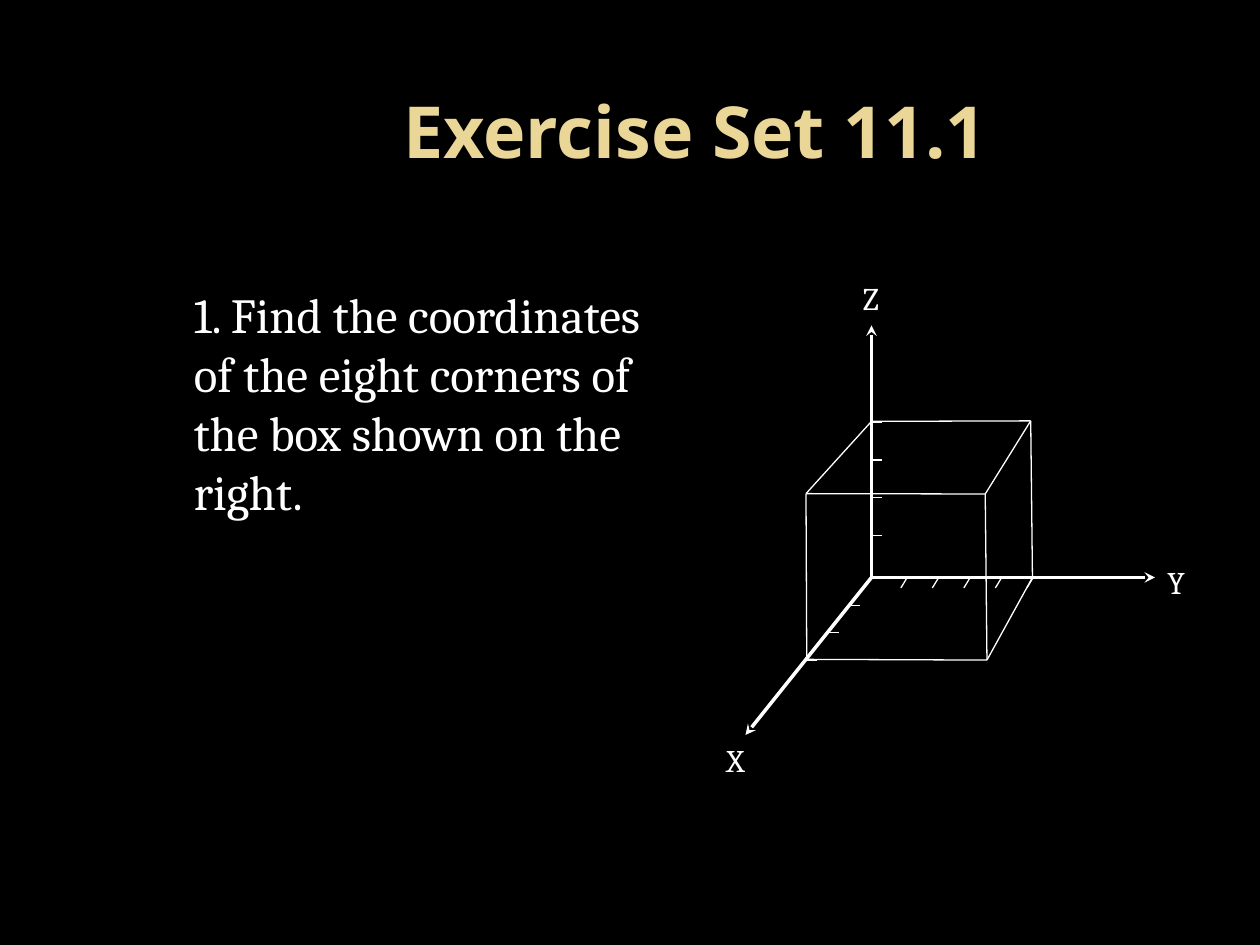
from dataclasses import dataclass
from typing import Any

from lxml.etree import SubElement
from pptx import Presentation
from pptx.dml.color import RGBColor
from pptx.enum.shapes import MSO_CONNECTOR
from pptx.enum.text import MSO_ANCHOR, PP_ALIGN
from pptx.oxml.ns import qn
from pptx.util import Pt


@dataclass(frozen=True)
class Theme:
    back: str = "000000"
    ink: str = "FFFFFF"
    gold: str = "EAD696"
    head: str = "Open Sans"
    body: str = "Cambria"
    big: float = 41
    mid: float = 28
    small: float = 18
    thick: float = 2
    thin: float = 0.75


def write(frame, words, font, size, color, bold=False, align=PP_ALIGN.LEFT,
          anchor=MSO_ANCHOR.TOP, indent=0):
    frame.word_wrap = True
    frame.vertical_anchor = anchor
    para = frame.paragraphs[0]
    para.alignment = align
    if indent:
        props = para._p.get_or_add_pPr()
        props.set("marL", str(Pt(indent)))
        props.set("indent", "0")
    run = para.add_run()
    run.text = words
    run.font.name = font
    run.font.size = Pt(size)
    run.font.bold = bold
    run.font.color.rgb = RGBColor.from_string(color)


@dataclass
class Board:
    theme: Theme
    slide: Any

    def ground(self):
        fill = self.slide.background.fill
        fill.solid()
        fill.fore_color.rgb = RGBColor.from_string(self.theme.back)

    def text(self, words, left, top, width, height, **form):
        box = self.slide.shapes.add_textbox(
            Pt(left), Pt(top), Pt(width), Pt(height))
        write(box.text_frame, words, **form)

    def label(self, words, left, top, width):
        look = self.theme
        self.text(words, left, top, width, 28.8, font=look.body,
                  size=look.small, color=look.ink)

    def line(self, start, end, width):
        link = self.slide.shapes.add_connector(
            MSO_CONNECTOR.STRAIGHT, *map(Pt, start + end))
        link.line.width = Pt(width)
        link.line.color.rgb = RGBColor.from_string(self.theme.ink)
        SubElement(link._element.spPr, qn("a:effectLst"))
        return link

    def edge(self, start, end):
        self.line(start, end, self.theme.thin)

    def axis(self, start, end):
        link = self.line(start, end, self.theme.thick)
        SubElement(link.line._get_or_add_ln(), qn("a:tailEnd"), type="stealth")

    def ticks(self, count, first, step, span):
        for i in range(count):
            x, y = first[0] + i * step[0], first[1] + i * step[1]
            self.edge((x, y), (x + span[0], y + span[1]))


def main():
    deck = Presentation()
    deck.slide_width, deck.slide_height = Pt(720), Pt(540)
    look = Theme()
    board = Board(look, deck.slides.add_slide(deck.slide_layouts[6]))
    board.ground()

    board.text("Exercise Set 11.1", 90.7, 16.6, 613.4, 115.2, font=look.head,
               size=look.big, color=look.gold, bold=True,
               align=PP_ALIGN.CENTER, anchor=MSO_ANCHOR.MIDDLE)
    board.text("1. Find the coordinates of the eight corners of the box "
               "shown on the right.", 92.9, 159.1, 300.2, 324,
               font=look.body, size=look.mid, color=look.ink, indent=10.8)

    origin = (498, 330)
    for tip in ((498, 186), (660, 330), (426, 420)):
        board.axis(origin, tip)

    board.ticks(4, (498, 306), (0, -21.6), (6, 0))
    board.ticks(3, (485.5, 346), (-12.3, 15.6), (6, 0))
    board.ticks(5, (518.4, 330), (18, 0), (-3.6, 6))

    roof = [(498, 240.8), (589, 240.5), (563, 282.3), (460.6, 282.1)]
    right, front, left = (590, 330), (564, 377.2), (461, 376.8)
    for i, point in enumerate(roof):
        board.edge(point, roof[(i + 1) % 4])
    for point, foot in zip(roof[1:], (right, front, left)):
        board.edge(point, foot)
    board.edge(right, front)
    board.edge(front, left)

    board.label("X", 408, 420, 24)
    board.label("Y", 660, 318, 30)
    board.label("Z", 486, 156, 30)
    deck.save("out.pptx")


if __name__ == "__main__":
    main()
